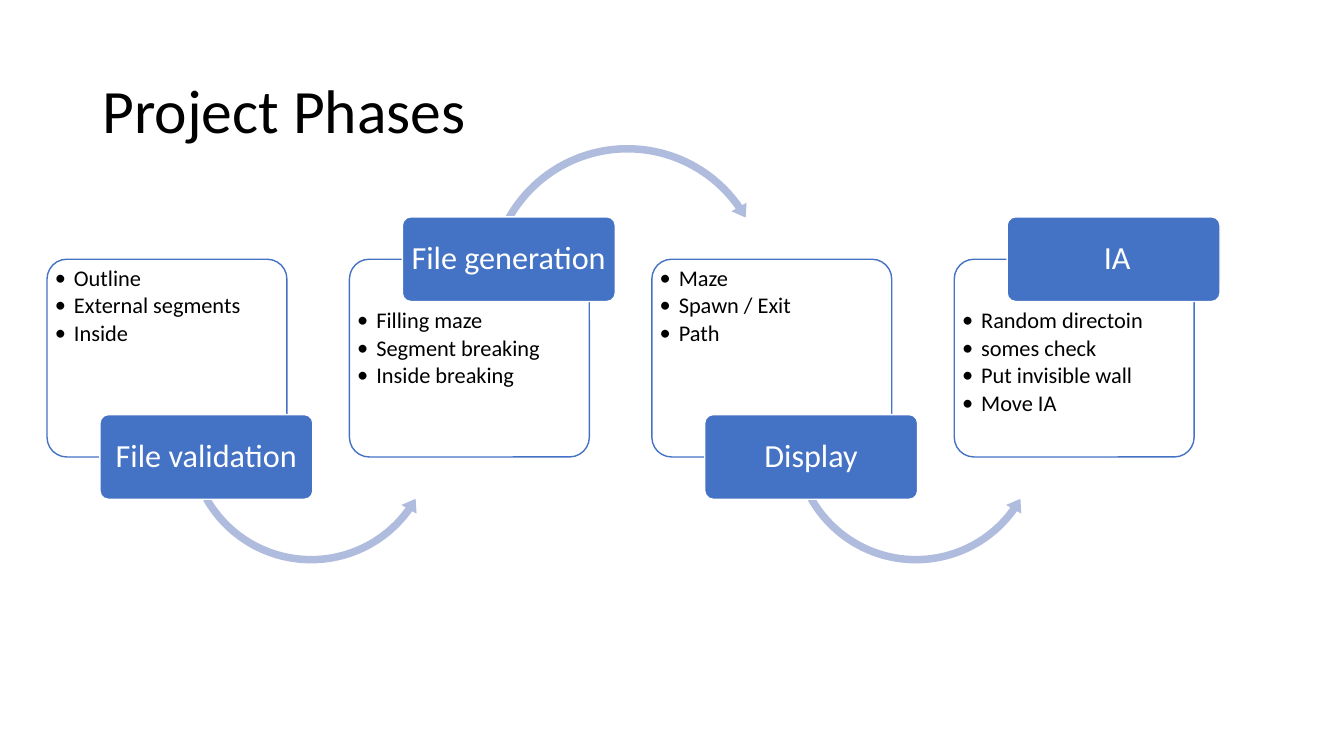
from dataclasses import dataclass

from lxml import etree
from pptx import Presentation
from pptx.dml.color import RGBColor
from pptx.enum.shapes import MSO_SHAPE
from pptx.enum.text import MSO_ANCHOR, PP_ALIGN
from pptx.oxml.ns import qn
from pptx.slide import Slide
from pptx.util import Inches, Pt

ROUNDED = MSO_SHAPE.ROUNDED_RECTANGLE
ARROW_OVER = MSO_SHAPE.CIRCULAR_ARROW
ARROW_UNDER = MSO_SHAPE.LEFT_CIRCULAR_ARROW
TOP, MIDDLE = MSO_ANCHOR.TOP, MSO_ANCHOR.MIDDLE
LEFT, CENTER = PP_ALIGN.LEFT, PP_ALIGN.CENTER

COLUMNS, ROWS = 160, 90
SLIDE_WIDTH, SLIDE_HEIGHT = Inches(13.333), Inches(7.5)
DEGREE = 0.6

CARD_LEFT, CARD_TOP, CARD_PITCH = 5.6, 30.86, 36
CARD_WIDTH, CARD_HEIGHT = 28.56, 23.54
TAG_SHIFT, TAG_WIDTH, TAG_HEIGHT = 6.3, 25.35, 10.08
CARD_INSET, TAG_INSET = 0.24, 0.6

PHASES = [
    ("File validation", ["Outline", "External segments", "Inside"]),
    ("File generation", ["Filling maze", "Segment breaking", "Inside breaking"]),
    ("Display", ["Maze", "Spawn / Exit", "Path"]),
    (" IA", ["Random directoin", "somes check", "Put invisible wall", "Move IA"]),
]


def color(value):
    return RGBColor.from_string(value)


def write_text(frame, lines, size, ink, font, align=LEFT, anchor=MIDDLE,
               insets=(1.2, 0.6, 1.2, 0.6), bullets=False, gap=0):
    frame.word_wrap = True
    frame.vertical_anchor = anchor
    sides = [Inches(inset / 12) for inset in insets]
    frame.margin_left, frame.margin_top, frame.margin_right, frame.margin_bottom = sides
    for index, line in enumerate(lines):
        para = frame.add_paragraph() if index else frame.paragraphs[0]
        para.alignment = align
        para.line_spacing = 0.9
        para.space_after = Pt(gap)
        span = para.add_run()
        span.text = line
        span.font.name = font
        span.font.size = Pt(size)
        span.font.color.rgb = color(ink)
        if bullets:
            properties = para._p.get_or_add_pPr()
            properties.set("marL", str(Inches(0.19)))
            properties.set("indent", str(-Inches(0.19)))
            etree.SubElement(properties, qn("a:buFont")).set("typeface", font)
            etree.SubElement(properties, qn("a:buChar")).set("char", "•")


@dataclass
class Page:
    slide: Slide
    font: str = "Calibri"
    ink: str = "000000"
    paper: str = "FFFFFF"
    accent: str = "4472C4"
    pale: str = "B0BCDE"

    def place(self, column, row, columns, rows):
        across, down = SLIDE_WIDTH / COLUMNS, SLIDE_HEIGHT / ROWS
        return [round(length) for length in
                (column * across, row * down, columns * across, rows * down)]

    def title(self, text, *area):
        box = self.slide.shapes.add_textbox(*self.place(*area))
        write_text(box.text_frame, [text], 44, self.ink, self.font)

    def shape(self, kind, area, fill, line=None):
        shape = self.slide.shapes.add_shape(kind, *self.place(*area))
        shape.shadow.inherit = False
        shape.fill.solid()
        shape.fill.fore_color.rgb = color(fill)
        if line:
            shape.line.color.rgb = color(line)
            shape.line.width = Pt(1)
        else:
            shape.line.fill.background()
        return shape

    def rounded(self, area, fill, line):
        shape = self.shape(ROUNDED, area, fill, line)
        shape.adjustments[0] = 0.1
        return shape

    def card(self, left, items, tag_above):
        card = self.rounded((left, CARD_TOP, CARD_WIDTH, CARD_HEIGHT),
                            self.paper, self.accent)
        fill = card.fill._xPr.find(qn("a:solidFill"))
        etree.SubElement(fill[0], qn("a:alpha")).set("val", "90000")
        top = CARD_INSET + (TAG_HEIGHT / 2 if tag_above else 0)
        write_text(card.text_frame, items, 16, self.ink, self.font, anchor=TOP,
                   insets=(CARD_INSET, top, CARD_INSET, CARD_INSET),
                   bullets=True, gap=2.4)

    def tag(self, left, label, above):
        edge = CARD_TOP if above else CARD_TOP + CARD_HEIGHT
        area = (left + TAG_SHIFT, edge - TAG_HEIGHT / 2, TAG_WIDTH, TAG_HEIGHT)
        tag = self.rounded(area, self.accent, self.paper)
        write_text(tag.text_frame, [label], 23, self.paper, self.font, align=CENTER,
                   insets=(TAG_INSET, 0.3, TAG_INSET, 0.3))

    def arrow(self, left, above):
        if above:
            kind, shift, row, size = ARROW_OVER, 15.88, 16.68, 34.44
            thickness, angles, head = 0.026, (5.28, 325.13, 209.59), 0.03
        else:
            kind, shift, row, size = ARROW_UNDER, 16.08, 36.96, 30.72
            thickness, angles, head = 0.029, (5.95, 35.54, 150.41), 0.034
        arrow = self.shape(kind, (left + shift, row, size, size), self.pale)
        values = [thickness, *(angle * DEGREE for angle in angles), head]
        for index, value in enumerate(values):
            arrow.adjustments[index] = value


deck = Presentation()
deck.slide_width, deck.slide_height = SLIDE_WIDTH, SLIDE_HEIGHT
page = Page(deck.slides.add_slide(deck.slide_layouts[6]))

page.title("Project Phases", 11, 4.8, 138, 17.4)
for number, (label, items) in enumerate(PHASES):
    left = CARD_LEFT + number * CARD_PITCH
    above = number % 2 == 1
    page.card(left, items, above)
    if number < len(PHASES) - 1:
        page.arrow(left, above)
    page.tag(left, label, above)

deck.save("out.pptx")
